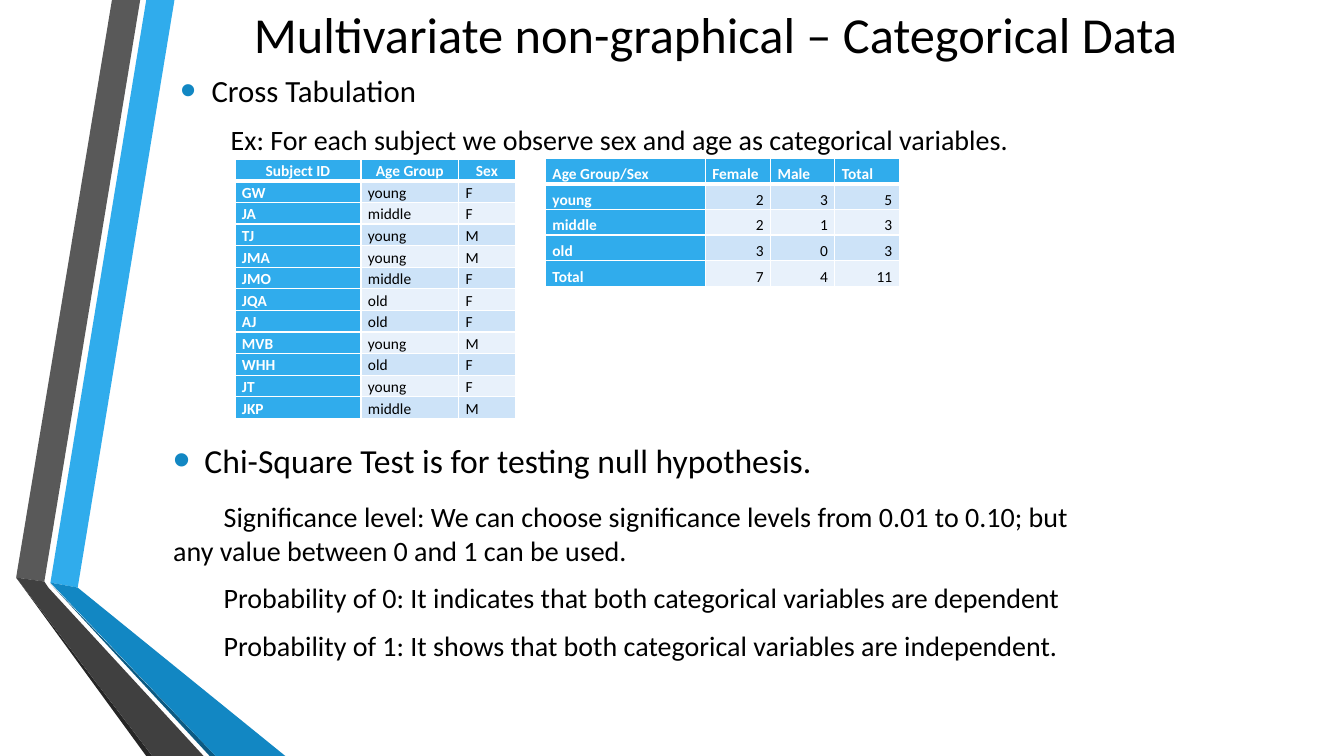
from dataclasses import dataclass

from lxml import etree
from pptx import Presentation
from pptx import util as u
from pptx.dml import color
from pptx.enum import text
from pptx.oxml import ns


@dataclass(frozen=True)
class Theme:
    """Colours, type sizes and spacing of the deck."""
    font: str = "Calibri"
    ink: str = "000000"
    paper: str = "FFFFFF"
    accent: str = "30ACEC"
    accent_deep: str = "1287C3"
    accent_shade: str = "0C5A82"
    grey: str = "595959"
    grey_deep: str = "404040"
    grey_shade: str = "262626"
    bands: tuple = ("CDE3F8", "E8F1FB")
    title: int = 36
    heading: int = 24
    subheading: int = 22
    body: int = 20
    cell: int = 11


LEFT, CENTER, RIGHT = text.PP_ALIGN.LEFT, text.PP_ALIGN.CENTER, text.PP_ALIGN.RIGHT


class Board:
    """Draws on one slide, with lengths in percent of the slide's size."""

    def __init__(self, deck, theme):
        self.deck, self.theme = deck, theme
        self.slide = deck.slides.add_slide(deck.slide_layouts[5])

    def x(self, share):
        return round(self.deck.slide_width * share / 100)

    def y(self, share):
        return round(self.deck.slide_height * share / 100)

    def place(self, left, top, width, height):
        return self.x(left), self.y(top), self.x(width), self.y(height)

    def style(self, para, size, ink, bold=False):
        font = para.font
        font.name, font.size, font.bold = self.theme.font, u.Pt(size), bold
        font.color.rgb = color.RGBColor.from_string(ink)

    def fill(self, item, tint):
        item.fill.solid()
        item.fill.fore_color.rgb = color.RGBColor.from_string(tint)

    def ribbon(self, tint, corners):
        points = [(self.x(across), self.y(down)) for across, down in corners]
        builder = self.slide.shapes.build_freeform(*points[0])
        builder.add_line_segments(points[1:])
        shape = builder.convert_to_shape()
        shape.shadow.inherit = False
        self.fill(shape, tint)
        shape.line.fill.background()

    def title(self, wording, *area):
        box = self.slide.shapes.title
        box.left, box.top, box.width, box.height = self.place(*area)
        frame = box.text_frame
        frame.text = wording
        frame.auto_size = text.MSO_AUTO_SIZE.NONE
        frame.vertical_anchor = text.MSO_ANCHOR.MIDDLE
        frame.paragraphs[0].alignment = CENTER
        self.style(frame.paragraphs[0], self.theme.title, self.theme.ink)

    def bullet(self, para):
        props = para._p.get_or_add_pPr()
        props.set("marL", str(u.Inches(0.31)))
        props.set("indent", str(-u.Inches(0.31)))
        tint = etree.SubElement(props, ns.qn("a:buClr"))
        etree.SubElement(tint, ns.qn("a:srgbClr"), val=self.theme.accent_deep)
        etree.SubElement(props, ns.qn("a:buSzPct"), val="145000")
        etree.SubElement(props, ns.qn("a:buFont"), typeface="Arial")
        etree.SubElement(props, ns.qn("a:buChar"), char="•")

    def notes(self, heading, size, lines, area, inset=0.05, gap=4):
        frame = self.slide.shapes.add_textbox(*self.place(*area)).text_frame
        frame.word_wrap = True
        frame.margin_top = u.Inches(inset)
        para = frame.paragraphs[0]
        para.text = heading
        para.space_after = u.Pt(6)
        self.bullet(para)
        self.style(para, size, self.theme.ink)
        for index, line in enumerate(lines):
            para = frame.add_paragraph()
            para.text = line
            para.space_before = u.Pt(4 if index else gap)
            para.space_after = u.Pt(6)
            para._p.get_or_add_pPr().set("indent", str(u.Inches(0.5)))
            self.style(para, self.theme.body, self.theme.ink)

    def borders(self, cell, bottom):
        props = cell._tc.get_or_add_tcPr()
        for index, (side, width) in enumerate(zip("LRTB", (1, 1, 1, bottom))):
            line = etree.Element(ns.qn(f"a:ln{side}"), w=str(u.Pt(width)))
            solid = etree.SubElement(line, ns.qn("a:solidFill"))
            etree.SubElement(solid, ns.qn("a:srgbClr"), val=self.theme.paper)
            props.insert(index, line)

    def table(self, rows, weights, area, head_align, body_align):
        theme = self.theme
        place = self.place(*area)
        table = self.slide.shapes.add_table(len(rows), len(weights), *place).table
        for column, weight in zip(table.columns, weights):
            column.width = round(place[2] * weight / sum(weights))
        for down, row in enumerate(rows):
            table.rows[down].height = place[3] // len(rows)
            for across, wording in enumerate(row):
                cell = table.cell(down, across)
                label = down == 0 or across == 0
                cell.margin_left = cell.margin_right = u.Inches(0.07)
                cell.margin_top = cell.margin_bottom = 0
                cell.vertical_anchor = text.MSO_ANCHOR.BOTTOM
                self.fill(cell, theme.accent if label else theme.bands[(down - 1) % 2])
                self.borders(cell, 1 if down else 3)
                para = cell.text_frame.paragraphs[0]
                para.text = wording
                para.line_spacing = 1.07
                para.alignment = head_align if down == 0 else LEFT if label else body_align
                self.style(para, theme.cell, theme.paper if label else theme.ink, label)


SUBJECTS = """Subject ID,Age Group,Sex
GW,young,F
JA,middle,F
TJ,young,M
JMA,young,M
JMO,middle,F
JQA,old,F
AJ,old,F
MVB,young,M
WHH,old,F
JT,young,F
JKP,middle,M"""

COUNTS = """Age Group/Sex,Female,Male,Total
young,2,3,5
middle,2,1,3
old,3,0,3
Total,7,4,11"""


def rows_of(listing):
    return [line.split(",") for line in listing.splitlines()]


def main():
    theme = Theme()
    deck = Presentation()
    deck.slide_width, deck.slide_height = u.Inches(13.33), u.Inches(7.5)
    board = Board(deck, theme)
    ribbons = (
        (theme.accent, [(3.75, 77.07), (5.78, 77.73), (12.98, 0), (10.88, 0)]),
        (theme.grey, [(10.43, 0), (8.33, 0), (1.2, 76.4), (3.3, 76.93)]),
        (theme.grey_shade, [(1.2, 76.4), (10.88, 100), (11.33, 100)]),
        (theme.accent_shade, [(3.75, 77.2), (15.6, 100), (16.05, 100)]),
        (theme.accent_deep, [(3.75, 77.07), (16.05, 100), (21.23, 100), (5.78, 77.73)]),
        (theme.grey_deep, [(15.15, 100), (3.6, 77.73), (3.3, 76.93), (1.2, 76.4), (11.33, 100)]),
    )
    for tint, corners in ribbons:
        board.ribbon(tint, corners)
    board.title("Multivariate non-graphical – Categorical Data", 12.15, 0, 82.2, 8.8)
    board.notes("Cross Tabulation", theme.subheading, [
        "Ex: For each subject we observe sex and age as categorical variables.",
    ], (12.68, 8.8, 82.2, 17.6))
    board.table(rows_of(SUBJECTS), (125, 97, 56), (17.48, 21.07, 20.85, 34.27), CENTER, LEFT)
    board.table(rows_of(COUNTS), (159, 65, 64, 64), (40.58, 20.93, 26.33, 16.93), LEFT, RIGHT)
    board.notes("Chi-Square Test is for testing null hypothesis.", theme.heading, [
        "Significance level: We can choose significance levels from 0.01 to 0.10; but\n"
        "any value between 0 and 1 can be used.",
        "Probability of 0: It indicates that both categorical variables are dependent",
        "Probability of 1: It shows that both categorical variables are independent.",
    ], (12.15, 56.53, 82.2, 38), inset=0.12, gap=8)
    deck.save("out.pptx")


if __name__ == "__main__":
    main()
